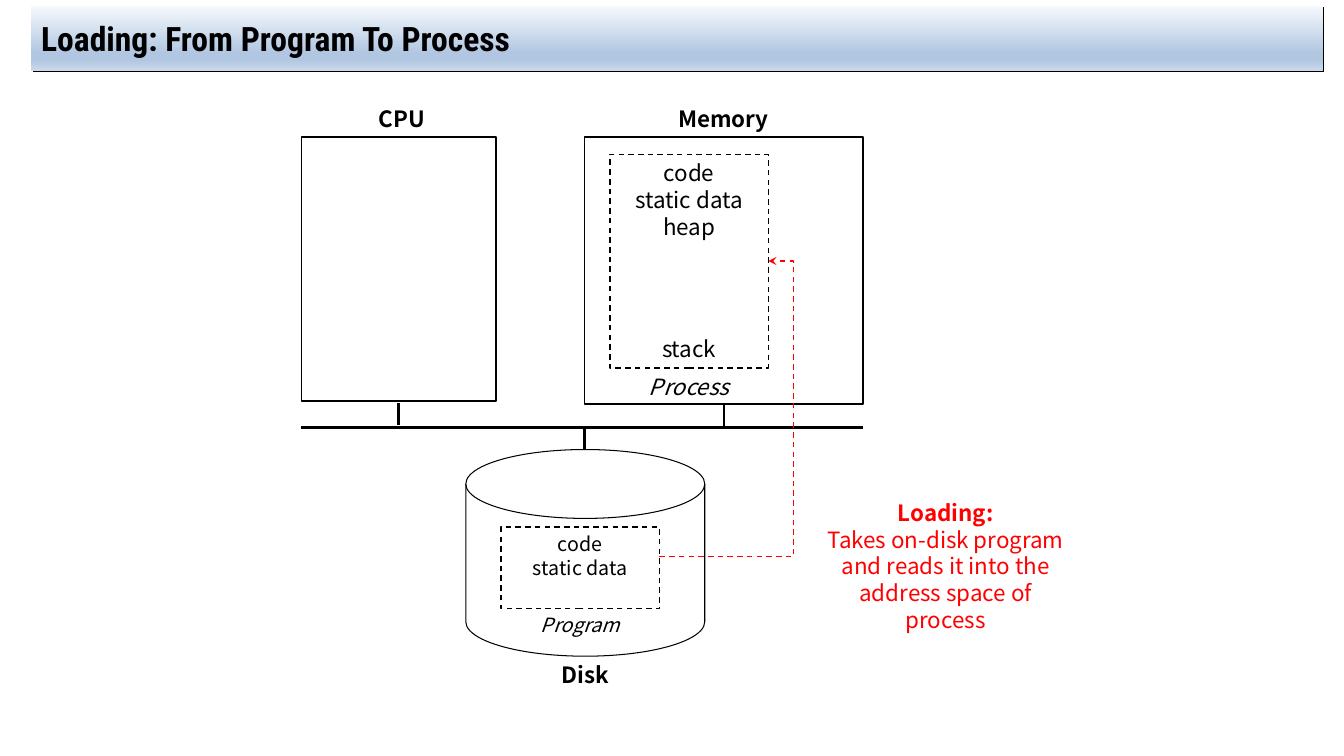
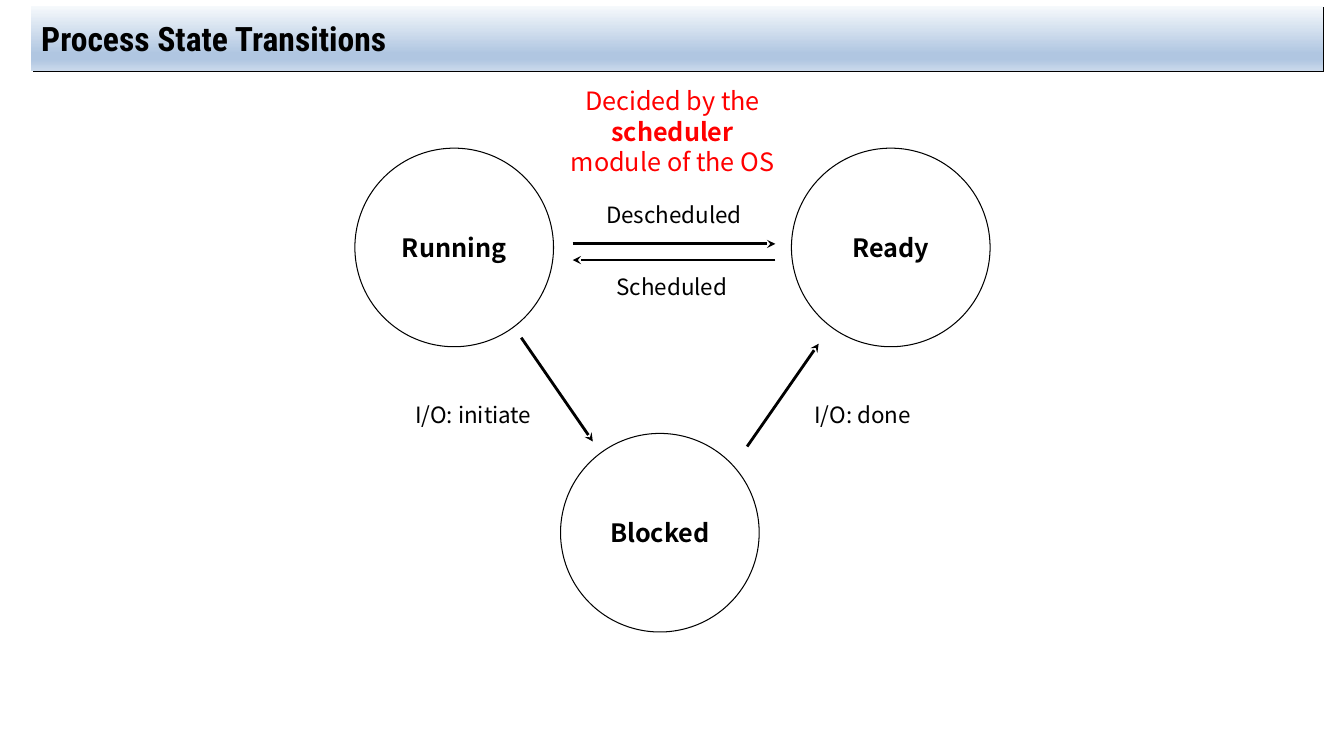
from pptx import Presentation
from pptx.dml.color import RGBColor
from pptx.enum.dml import MSO_LINE
from pptx.enum.shapes import MSO_CONNECTOR, MSO_SHAPE
from pptx.enum.text import MSO_ANCHOR, PP_ALIGN
from pptx.oxml.ns import qn
from pptx.util import Inches, Pt
from lxml.etree import SubElement

HUES = {"ink": "000000", "paper": "FFFFFF", "alert": "FF0000"}
BAND = [(0, "F6F9FC"), (74, "B0C6E1"), (83, "B0C6E1"), (100, "CAD9EB")]
BODY, HEAD = "Noto Sans CJK KR", "Roboto Condensed"
WIDE = 1.57
RECT, DISK, OVAL = MSO_SHAPE.RECTANGLE, MSO_SHAPE.FLOWCHART_MAGNETIC_DISK, MSO_SHAPE.OVAL

LOAD = {
    "title": "Loading: From Program To Process",
    "shapes": [
        (RECT, (5.8, 1.36, 2.76, 2.65), 1, False),
        (RECT, (6.05, 1.53, WIDE, 2.12), 1, True),
        (DISK, (4.62, 4.46, 2.37, 2.05), 0.75, False),
        (RECT, (4.97, 5.23, WIDE, 0.81), 1, True),
        (RECT, (2.99, 1.36, 1.93, 2.62), 1, False),
    ],
    "texts": [
        ((6.05, 1.53, WIDE, 0.94), 16, "ink", [("code", ""), ("static data", ""), ("heap", "")]),
        ((6.05, 3.28, WIDE, 0.37), 16, "ink", [("stack", "")]),
        ((6.05, 3.65, WIDE, 0.37), 16, "ink", [("Process", "i")]),
        ((6.39, 0.99, WIDE, 0.37), 16, "ink", [("Memory", "b")]),
        ((3.2, 0.99, WIDE, 0.37), 16, "ink", [("CPU", "b")]),
        ((4.97, 5.23, WIDE, 0.57), 14, "ink", [("code", ""), ("static data", "")]),
        ((4.97, 6.03, WIDE, 0.34), 14, "ink", [("Program", "i")]),
        ((5.02, 6.51, WIDE, 0.37), 16, "ink", [("Disk", "b")]),
        ((8.08, 4.9, 2.6, 1.45), 16, "alert", [
            ("Loading:", "b"), ("Takes on-disk program", ""),
            ("and reads it into the address space of process", "")]),
    ],
    "lines": [
        (7.18, 4.02, 7.18, 4.24),
        (2.99, 4.24, 8.56, 4.24),
        (5.8, 4.24, 5.8, 4.46),
        (3.95, 4, 3.95, 4.22),
    ],
}
ROUTE, BEND = (6.54, 5.52, 7.62, 2.59), 1.232

STATES = {
    "title": "Process State Transitions",
    "nodes": [("Running", 3.52, 1.47), ("Ready", 7.85, 1.47), ("Blocked", 5.56, 4.3)],
    "texts": [
        ((5.9, 1.95, WIDE, 0.37), 16, "ink", [("Descheduled", "")]),
        ((5.88, 2.66, WIDE, 0.37), 16, "ink", [("Scheduled", "")]),
        ((7.77, 3.93, WIDE, 0.37), 16, "ink", [("I/O: done", "")]),
        ((3.91, 3.93, WIDE, 0.37), 16, "ink", [("I/O: initiate", "")]),
        ((5.33, 0.8, 2.68, 1.31), 18, "alert", [
            ("Decided by the", ""), ("scheduler", "b"), ("module of the OS", "")]),
    ],
    "arrows": [
        (5.68, 2.42, 7.69, 2.42),
        (7.69, 2.58, 5.68, 2.58),
        (5.17, 3.35, 5.88, 4.38),
        (7.41, 4.43, 8.12, 3.41),
    ],
}
SIZE = 1.97


def hue(name):
    return RGBColor.from_string(HUES[name])


def write(frame, paras, size, tone="ink", font=BODY, align=PP_ALIGN.CENTER):
    frame.word_wrap = True
    for i, (words, style) in enumerate(paras):
        para = frame.paragraphs[0] if i == 0 else frame.add_paragraph()
        para.alignment = align
        run = para.add_run()
        run.text = words
        run.font.name, run.font.size = font, Pt(size)
        run.font.bold, run.font.italic = "b" in style, "i" in style
        run.font.color.rgb = hue(tone)


def label(slide, box, size, tone, paras):
    write(slide.shapes.add_textbox(*map(Inches, box)).text_frame, paras, size, tone)


def shape(slide, kind, box, width, dash=False):
    part = slide.shapes.add_shape(kind, *map(Inches, box))
    part.shadow.inherit = False
    part.fill.solid()
    part.fill.fore_color.rgb = hue("paper")
    part.line.color.rgb = hue("ink")
    part.line.width = Pt(width)
    if dash:
        part.line.dash_style = MSO_LINE.DASH
    return part


def link(slide, ends, width=2, tone="ink", arrow=False, kind=MSO_CONNECTOR.STRAIGHT):
    wire = slide.shapes.add_connector(kind, *map(Inches, ends))
    wire.line.color.rgb = hue(tone)
    wire.line.width = Pt(width)
    props = wire._element.spPr
    if arrow:
        SubElement(props.find(qn("a:ln")), qn("a:tailEnd"), type="stealth")
    SubElement(props, qn("a:effectLst"))
    return wire


def band(slide, title):
    bar = slide.shapes.add_shape(RECT, *map(Inches, (0.31, 0.06, 12.81, 0.64)))
    bar.line.fill.background()
    bar.fill.gradient()
    bar.fill.gradient_angle = 270
    props = bar._element.spPr
    stops = props.find(".//" + qn("a:gsLst"))
    for old in list(stops):
        stops.remove(old)
    for pos, code in BAND:
        stop = SubElement(stops, qn("a:gs"), pos=str(pos * 1000))
        SubElement(stop, qn("a:srgbClr"), val=code)
    bar.shadow.inherit = False
    shade = SubElement(props.find(qn("a:effectLst")), qn("a:outerShdw"),
                       blurRad="0", dist=str(Pt(1.4)), dir="2700000", algn="tl", rotWithShape="0")
    SubElement(shade, qn("a:srgbClr"), val=HUES["ink"])
    bar.text_frame.vertical_anchor = MSO_ANCHOR.MIDDLE
    write(bar.text_frame, [(title, "b")], 24, font=HEAD, align=PP_ALIGN.LEFT)


def start(deck, data):
    slide = deck.slides.add_slide(deck.slide_layouts[6])
    band(slide, data["title"])
    return slide


def draw_load(deck):
    slide = start(deck, LOAD)
    for item in LOAD["shapes"]:
        shape(slide, *item)
    for ends in LOAD["lines"]:
        link(slide, ends)
    for item in LOAD["texts"]:
        label(slide, *item)
    wire = link(slide, ROUTE, 1, "alert", True, MSO_CONNECTOR.ELBOW)
    wire.line.dash_style = MSO_LINE.DASH
    guides = wire._element.spPr.find(qn("a:prstGeom")).get_or_add_avLst()
    SubElement(guides, qn("a:gd"), name="adj1", fmla=f"val {round(BEND * 100000)}")


def draw_states(deck):
    slide = start(deck, STATES)
    for name, left, top in STATES["nodes"]:
        frame = shape(slide, OVAL, (left, top, SIZE, SIZE), 0.75).text_frame
        frame.margin_left = frame.margin_right = 0
        frame.vertical_anchor = MSO_ANCHOR.MIDDLE
        write(frame, [(name, "b")], 18)
    for ends in STATES["arrows"]:
        link(slide, ends, arrow=True)
    for item in STATES["texts"]:
        label(slide, *item)


def main():
    deck = Presentation()
    deck.slide_width, deck.slide_height = Inches(13.33), Inches(7.5)
    draw_load(deck)
    draw_states(deck)
    deck.save("out.pptx")


if __name__ == "__main__":
    main()
